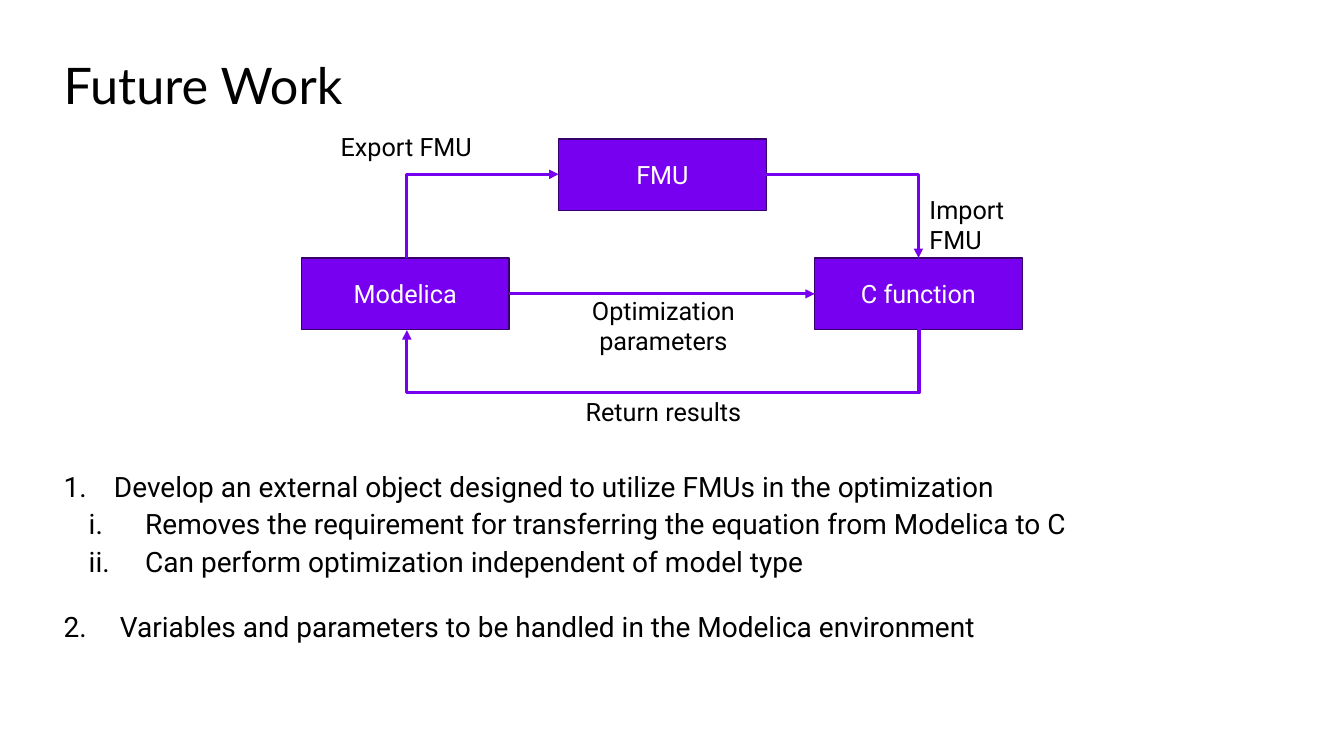
from dataclasses import dataclass

from lxml import etree
from pptx import Presentation
from pptx.dml.color import RGBColor
from pptx.enum.shapes import MSO_CONNECTOR, MSO_SHAPE
from pptx.enum.text import MSO_ANCHOR, MSO_AUTO_SIZE, PP_ALIGN
from pptx.oxml.ns import qn
from pptx.util import Inches, Pt

STRAIGHT, ELBOW = MSO_CONNECTOR.STRAIGHT, MSO_CONNECTOR.ELBOW
RECTANGLE = MSO_SHAPE.RECTANGLE
TOP, MIDDLE = MSO_ANCHOR.TOP, MSO_ANCHOR.MIDDLE
LEFT, CENTER = PP_ALIGN.LEFT, PP_ALIGN.CENTER
GROW = MSO_AUTO_SIZE.SHAPE_TO_FIT_TEXT
SITE_LEFT, SITE_RIGHT = 1, 3


@dataclass(frozen=True)
class Theme:
    violet: RGBColor = RGBColor(0x78, 0x00, 0xF0)
    outline: RGBColor = RGBColor(0x35, 0x00, 0x69)
    black: RGBColor = RGBColor(0, 0, 0)
    white: RGBColor = RGBColor(255, 255, 255)
    heading_font: str = "Lato"
    body_font: str = "Roboto"
    title_size: Pt = Pt(36)
    body_size: Pt = Pt(20)
    label_size: Pt = Pt(18)


theme = Theme()


def write(para, text, size, color, font=theme.body_font):
    span = para.add_run()
    span.text = text
    span.font.name = font
    span.font.size = size
    span.font.color.rgb = color


def style_arrow(arrow):
    arrow.line.color.rgb = theme.violet
    arrow.line.width = Pt(2.25)
    etree.SubElement(arrow.line._get_or_add_ln(), qn("a:tailEnd"), type="triangle")
    etree.SubElement(arrow._element.spPr, qn("a:effectLst"))


deck = Presentation()
deck.slide_width, deck.slide_height = Inches(13.33), Inches(7.5)
page = deck.slides.add_slide(deck.slide_layouts[5])

# Title and list
title = page.shapes.title
title.left, title.top = Inches(0.63), Inches(0.55)
title.width, title.height = Inches(10), Inches(1.18)
steps = page.shapes.add_textbox(Inches(0.63), Inches(4.44), Inches(12.08), Inches(2.12))
for box, anchor in ((title, TOP), (steps, MIDDLE)):
    frame = box.text_frame
    frame.margin_left = frame.margin_right = frame.margin_top = frame.margin_bottom = 0
    frame.word_wrap = True
    frame.vertical_anchor = anchor

heading = title.text_frame.paragraphs[0]
heading.alignment = LEFT
heading.line_spacing = Pt(42)
write(heading, "Future Work", theme.title_size, theme.black, theme.heading_font)

# text, level, indent, hanging, space before
step_lines = [
    ("Develop an external object designed to utilize FMUs in the optimization", 0, 0.5, 0.5, 0),
    ("Removes the requirement for transferring the equation from Modelica to C", 1, 0.81, 0.56, 0),
    ("Can perform optimization independent of model type", 1, 0.81, 0.56, 0),
    ("Variables and parameters to be handled in the Modelica environment", 0, 0.56, 0.56, 20),
]
numbering = ("arabicPeriod", "romanLcPeriod")
for index, (text, level, indent, hanging, before) in enumerate(step_lines):
    frame = steps.text_frame
    para = frame.add_paragraph() if index else frame.paragraphs[0]
    para.level = level
    para.line_spacing = Pt(26.6)
    para.space_before = Pt(before)
    properties = para._p.get_or_add_pPr()
    properties.set("marL", str(Inches(indent)))
    properties.set("indent", str(-Inches(hanging)))
    etree.SubElement(properties, qn("a:buFont"), typeface="+mj-lt")
    etree.SubElement(properties, qn("a:buAutoNum"), type=numbering[level])
    write(para, text, theme.body_size, theme.black)

# Diagram blocks
blocks = {}
for name, left, top in (("Modelica", 2.99, 2.56), ("FMU", 5.54, 1.38), ("C function", 8.08, 2.56)):
    block = page.shapes.add_shape(RECTANGLE, Inches(left), Inches(top), Inches(2.06), Inches(0.71))
    block.shadow.inherit = False
    block.fill.solid()
    block.fill.fore_color.rgb = theme.violet
    block.line.color.rgb = theme.outline
    block.line.width = Pt(1)
    block.text_frame.vertical_anchor = MIDDLE
    para = block.text_frame.paragraphs[0]
    para.alignment = CENTER
    write(para, name, theme.label_size, theme.white)
    blocks[name] = block

# Arrows: elbow ends are given before the quarter turn
direct = page.shapes.add_connector(STRAIGHT, 0, 0, 0, 0)
direct.begin_connect(blocks["Modelica"], SITE_RIGHT)
direct.end_connect(blocks["C function"], SITE_LEFT)
style_arrow(direct)

elbows = [
    ((5.2, 2.9, 4.37, 1.39), True, "bentConnector2", None),
    ((7.6, 1.73, 9.11, 2.56), False, "bentConnector2", None),
    ((6.57, 0.73, 6.58, 5.81), True, "bentConnector3", 64),
]
for ends, turned, preset, bend in elbows:
    elbow = page.shapes.add_connector(ELBOW, *map(Inches, ends))
    properties = elbow._element.spPr
    geometry = properties.find(qn("a:prstGeom"))
    geometry.set("prst", preset)
    if turned:
        properties.find(qn("a:xfrm")).set("rot", str(90 * 60000))
    if bend:
        adjustments = geometry.find(qn("a:avLst"))
        etree.SubElement(adjustments, qn("a:gd"), name="adj1", fmla=f"val {bend * 100000}")
    style_arrow(elbow)

# Arrow labels
labels = [
    ("Export FMU", 3.28, 1.25, 1.51, LEFT),
    ("Import FMU", 9.12, 1.88, 1.51, LEFT),
    ("Optimization parameters", 5.14, 2.88, 2.88, CENTER),
    ("Return results", 5.14, 3.88, 2.88, CENTER),
]
for text, left, top, width, alignment in labels:
    label = page.shapes.add_textbox(Inches(left), Inches(top), Inches(width), Inches(0.4))
    label.text_frame.word_wrap = True
    label.text_frame.auto_size = GROW
    para = label.text_frame.paragraphs[0]
    para.alignment = alignment
    write(para, text, theme.label_size, theme.black)

deck.save("out.pptx")
